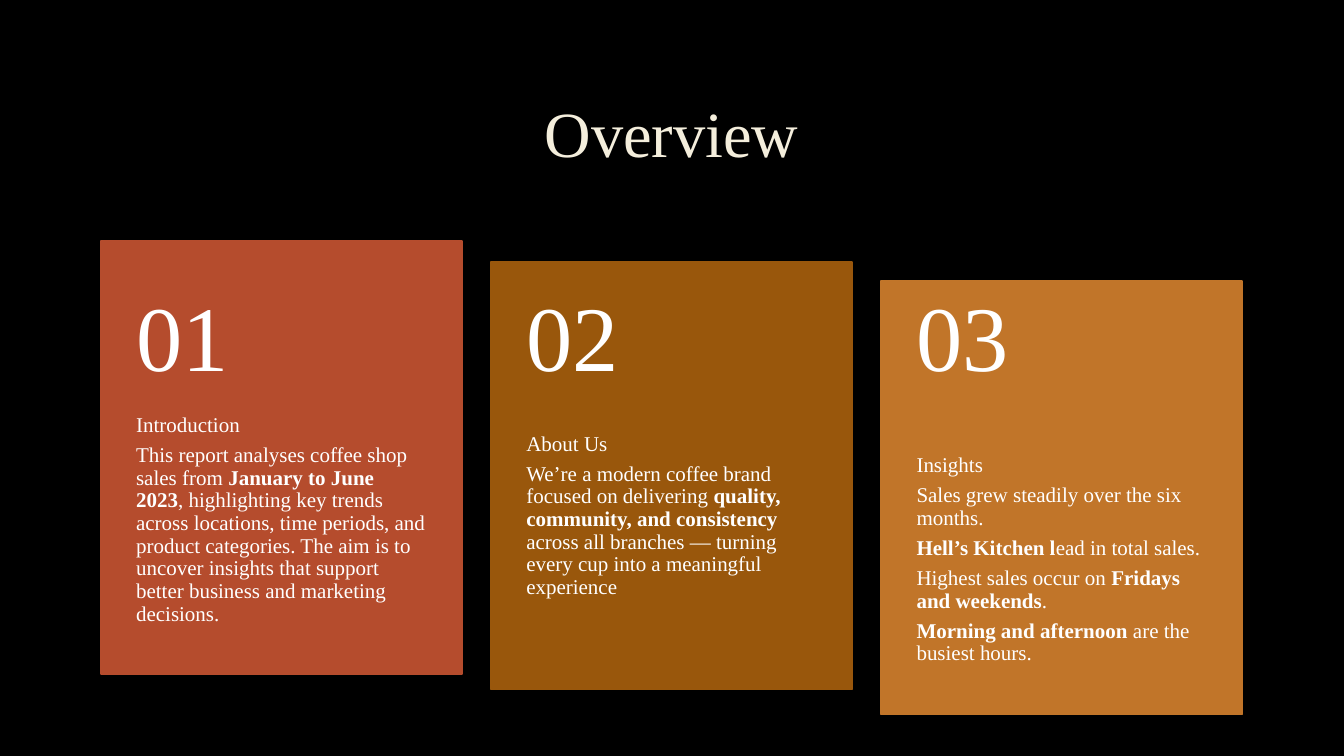
from pptx import Presentation
from pptx.dml.color import RGBColor
from pptx.enum.shapes import MSO_SHAPE
from pptx.enum.text import MSO_ANCHOR, PP_ALIGN
from pptx.util import Inches, Pt

FONT = "Times New Roman"
WHITE = "FFFFFF"
CARD_LEFT, CARD_WIDTH, CARD_PITCH = 1, 3.58, 3.87
NUMBER_TOP, NUMBER_HEIGHT = 2.53, 1.72
BODY_OFFSET = 0.4

CARDS = [
    {"number": "01", "color": "B54C2D", "top": 2.39, "height": 4.3,
     "paragraphs": [
         [("Introduction", False)],
         [("This report analyses coffee shop sales from ", False),
          ("January to June 2023", True),
          (", highlighting key trends across locations, time periods, and "
           "product categories. The aim is to uncover insights that support "
           "better business and marketing decisions.", False)]]},
    {"number": "02", "color": "99570C", "top": 2.6, "height": 4.24,
     "paragraphs": [
         [("About Us", False)],
         [("We’re a modern coffee brand focused on delivering ", False),
          ("quality, community, and consistency", True),
          (" across all branches — turning every cup into a meaningful "
           "experience", False)]]},
    {"number": "03", "color": "C17529", "top": 2.79, "height": 4.3,
     "paragraphs": [
         [("Insights", False)],
         [("Sales grew steadily over the six months.", False)],
         [("Hell’s Kitchen l", True), ("ead in total sales.", False)],
         [("Highest sales occur on ", False),
          ("Fridays and weekends", True), (".", False)],
         [("Morning and afternoon", True),
          (" are the busiest hours.", False)]]},
]


def rgb(value):
    """Return the colour for a hex string."""
    return RGBColor.from_string(value)


def apply_format(target, values):
    """Set every attribute in a dict of format values."""
    for name, value in values.items():
        setattr(target, name, value)


def place(shape, left, top, width, height):
    """Move and size a shape, in inches."""
    apply_format(shape, {"left": Inches(left), "top": Inches(top),
                         "width": Inches(width), "height": Inches(height)})


def write(frame, paragraphs, size, color, paragraph_format):
    """Fill a text frame with paragraphs of (text, bold) spans."""
    for index, spans in enumerate(paragraphs):
        para = frame.paragraphs[0] if index == 0 else frame.add_paragraph()
        apply_format(para, {"line_spacing": 0.9, **paragraph_format})
        for text, bold in spans:
            span = para.add_run()
            span.text = text
            apply_format(span.font, {"name": FONT, "size": Pt(size), "bold": bold})
            span.font.color.rgb = rgb(color)


def add_title(page, text, left, top, width, height):
    """Put the slide title in its placeholder."""
    title = page.shapes.title
    place(title, left, top, width, height)
    apply_format(title.text_frame, {"word_wrap": True,
                                    "vertical_anchor": MSO_ANCHOR.MIDDLE})
    write(title.text_frame, [[(text, False)]], 46, "F4EEDC",
          {"alignment": PP_ALIGN.CENTER})


def add_text(group, paragraphs, size, box, frame_format, space_after):
    """Add an inset white text box to a card."""
    text_box = group.shapes.add_textbox(*(Inches(value) for value in box))
    apply_format(text_box.text_frame, {
        "word_wrap": True, "margin_left": Inches(0.35),
        "margin_right": Inches(0.35), **frame_format})
    write(text_box.text_frame, paragraphs, size, WHITE,
          {"alignment": PP_ALIGN.LEFT, "space_after": Pt(space_after)})


def add_card(page, card, left, top, width, height):
    """Add a coloured card with its text and large number."""
    group = page.shapes.add_group_shape()
    panel = group.shapes.add_shape(
        MSO_SHAPE.RECTANGLE, Inches(left), Inches(top), Inches(width), Inches(height))
    panel.shadow.inherit = False
    panel.fill.solid()
    panel.fill.fore_color.rgb = rgb(card["color"])
    panel.line.color.rgb = rgb(card["color"])
    panel.line.width = Pt(1.25)
    body_top = top + BODY_OFFSET * height
    add_text(group, card["paragraphs"], 15,
             (left, body_top, width, top + height - body_top),
             {"margin_top": 0, "margin_bottom": Inches(0.36),
              "vertical_anchor": MSO_ANCHOR.TOP}, 5.25)
    add_text(group, [[(card["number"], False)]], 66,
             (left, NUMBER_TOP, width, NUMBER_HEIGHT),
             {"margin_top": Inches(0.18), "margin_bottom": Inches(0.18),
              "vertical_anchor": MSO_ANCHOR.MIDDLE}, 0)


def main():
    """Build and save the overview slide."""
    deck = Presentation()
    apply_format(deck, {"slide_width": Inches(13.33), "slide_height": Inches(7.5)})
    page = deck.slides.add_slide(deck.slide_layouts.get_by_name("Title Only"))
    page.background.fill.solid()
    page.background.fill.fore_color.rgb = rgb("000000")
    add_title(page, "Overview", 1, 0.67, 11.32, 1.38)
    for index, card in enumerate(CARDS):
        add_card(page, card, CARD_LEFT + index * CARD_PITCH, card["top"],
                 CARD_WIDTH, card["height"])
    deck.save("out.pptx")


if __name__ == "__main__":
    main()
